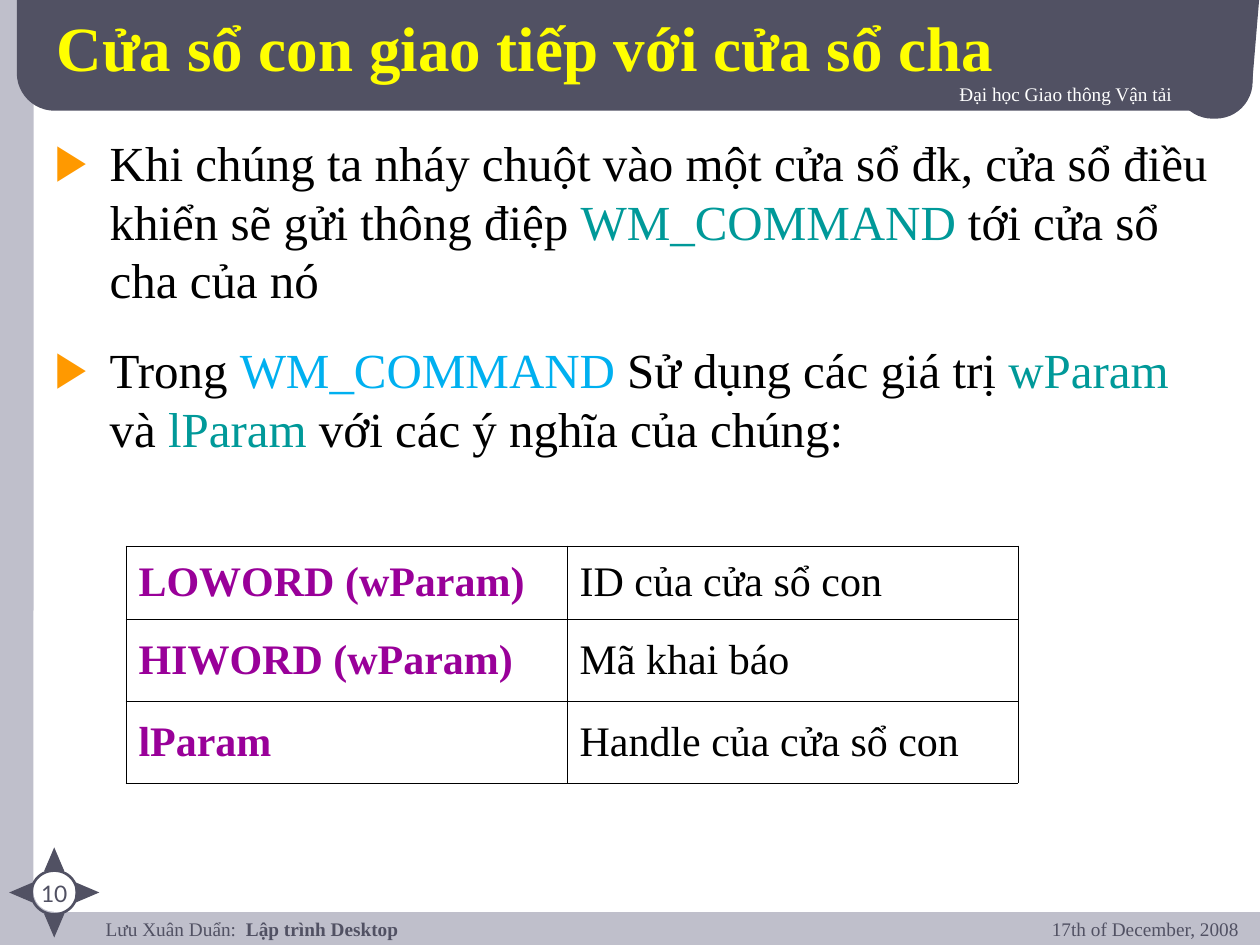
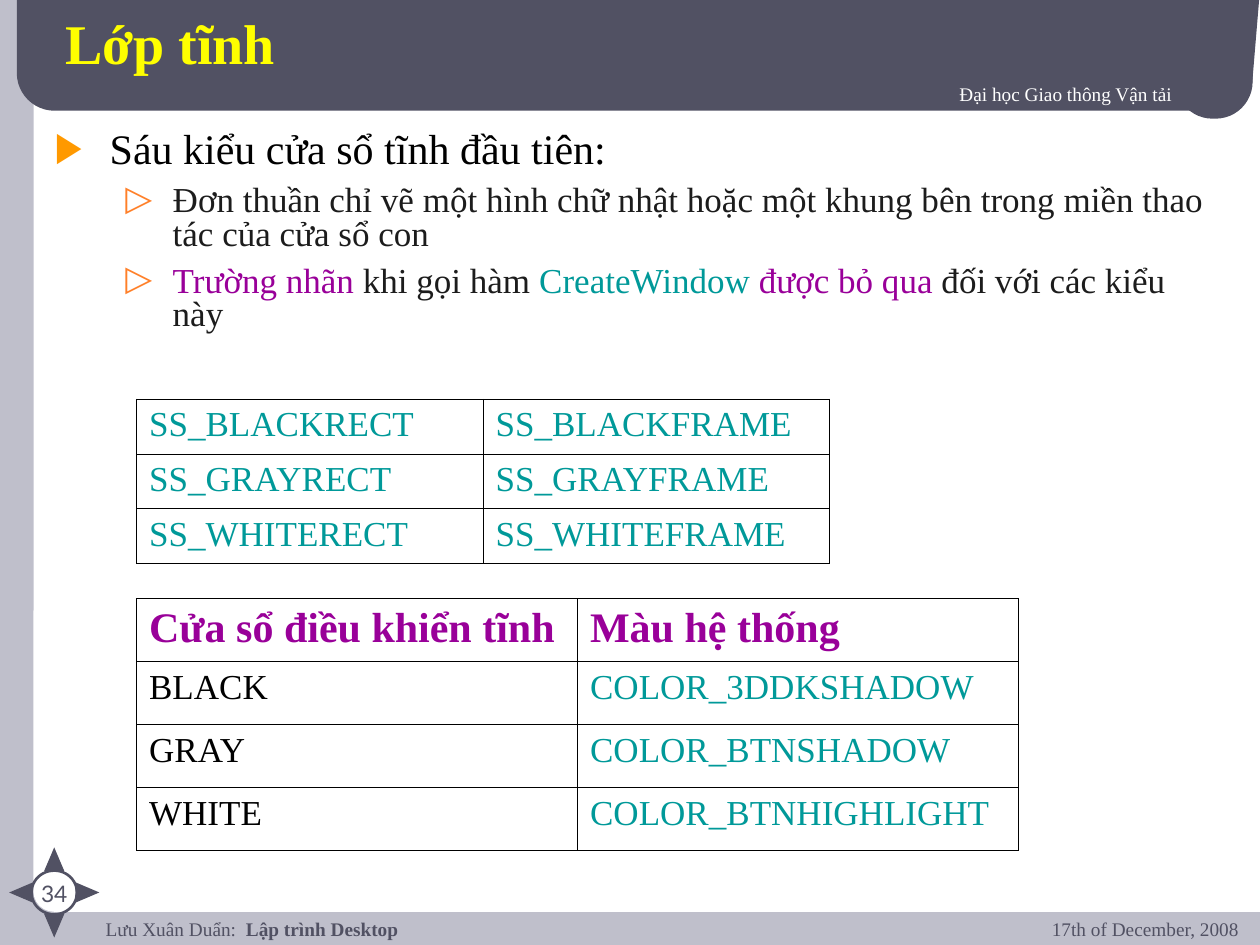
"""Build two lecture slides on child windows and static controls."""
from collections import namedtuple
from math import cos, radians, sin

from lxml.etree import SubElement
from pptx import Presentation
from pptx.dml.color import RGBColor
from pptx.enum.shapes import MSO_SHAPE
from pptx.enum.text import MSO_ANCHOR, MSO_AUTO_SIZE, PP_ALIGN
from pptx.oxml.ns import qn
from pptx.util import Pt

SLATE, LAVENDER, WHITE, BLACK = "515163", "BFBFCB", "FFFFFF", "000000"
YELLOW, TEAL, SKY, PURPLE, CHARCOAL = "FFFF00", "009999", "00B0F0", "990099", "1C1C1C"

Style = namedtuple("Style", "size color bold font shadow",
                   defaults=(False, "Times New Roman", False))
Level = namedtuple("Level", "number margin hanging bullet bullet_color")

TOPIC = Level(0, 31.5, 31.5, "▶", "FF9900")
DETAIL = Level(1, 67.5, 27, "▷", "FF8029")
FOOTER = Style(11, SLATE)
TERM = Style(24, PURPLE, True)
MEANING = Style(24, BLACK)
CODE = Style(20, TEAL)
PLAIN = Style(20, BLACK)


def rgb(color):
    """Turn a hex string into a colour."""
    return RGBColor.from_string(color)


def add_color(parent, color):
    """Append an sRGB colour element."""
    SubElement(parent, qn("a:srgbClr"), val=color)


def add_text_shadow(run):
    """Give the letters of a run a hard drop shadow."""
    effects = SubElement(run.font.fill._xPr, qn("a:effectLst"))
    run.font.fill._xPr.find(qn("a:solidFill")).addnext(effects)
    shadow = SubElement(effects, qn("a:outerShdw"), blurRad="0",
                        dist=str(Pt(2)), dir="2700000")
    add_color(shadow, BLACK)


def write(paragraph, pieces):
    """Fill a paragraph with pairs of text and style."""
    for text, style in pieces:
        run = paragraph.add_run()
        run.text = text
        run.font.size = Pt(style.size)
        run.font.bold = style.bold
        run.font.name = style.font
        run.font.color.rgb = rgb(style.color)
        if style.shadow:
            add_text_shadow(run)


def place(shape, left, top, width, height):
    """Move and size a shape, in points."""
    shape.left, shape.top = Pt(left), Pt(top)
    shape.width, shape.height = Pt(width), Pt(height)


def paint(shape, color):
    """Fill a shape flatly, without line or shadow."""
    shape.shadow.inherit = False
    shape.fill.solid()
    shape.fill.fore_color.rgb = rgb(color)
    shape.line.fill.background()


def add_block(slide, kind, box, color, corner=None):
    """Add a flat preset shape."""
    shape = slide.shapes.add_shape(kind, *map(Pt, box))
    if corner is not None:
        shape.adjustments[0] = corner
    paint(shape, color)
    return shape


def add_label(slide, box, pieces, alignment=PP_ALIGN.LEFT, inset=3.6):
    """Add a one-line text box."""
    frame = slide.shapes.add_textbox(*map(Pt, box)).text_frame
    frame.word_wrap = True
    frame.margin_top = frame.margin_bottom = Pt(inset)
    frame.paragraphs[0].alignment = alignment
    write(frame.paragraphs[0], pieces)


def add_header_band(slide):
    """Draw the white page and the dark band with its curled corner."""
    rounded = MSO_SHAPE.ROUNDED_RECTANGLE
    add_block(slide, rounded, (19.2, -9.5, 720.8, 530.5), WHITE, 0.022)
    add_block(slide, rounded, (9.6, -26, 706, 89.3), SLATE, 0.242)
    add_block(slide, rounded, (671.8, 21, 44, 46.8), SLATE, 0.48)
    builder = slide.shapes.build_freeform(Pt(715.5), Pt(-6))
    builder.add_line_segments([(Pt(720), Pt(-6)), (Pt(715.5), Pt(48))])
    paint(builder.convert_to_shape(), SLATE)


def add_compass(slide):
    """Draw the ring and four points around the page number."""
    center_x, center_y, reach, width, height = 31, 510, 19, 11.5, 13.5
    ring = slide.shapes.add_shape(MSO_SHAPE.OVAL, Pt(18), Pt(497.5), Pt(26), Pt(25))
    ring.shadow.inherit = False
    ring.fill.background()
    ring.line.color.rgb = rgb(SLATE)
    ring.line.width = Pt(1.5)
    for angle in range(0, 360, 90):
        left = center_x + reach * sin(radians(angle)) - width / 2
        top = center_y - reach * cos(radians(angle)) - height / 2
        point = add_block(slide, MSO_SHAPE.ISOSCELES_TRIANGLE,
                          (left, top, width, height), SLATE)
        point.rotation = angle


def decorate_layout(layout, slide):
    """Draw the shared parts on a slide and hand them to its layout."""
    layout.background.fill.solid()
    layout.background.fill.fore_color.rgb = rgb(LAVENDER)
    for placeholder in list(layout.placeholders)[2:]:
        layout.shapes.element.remove(placeholder.element)
    add_header_band(slide)
    add_compass(slide)
    add_label(slide, (53.3, 524.2, 557.3, 23.8),
              [("Lưu Xuân Duẩn:  ", FOOTER),
               ("Lập trình Desktop", FOOTER._replace(bold=True))], inset=0)
    add_label(slide, (218, 43.2, 458.8, 27.4),
              [("Đại học Giao thông Vận tải", Style(11, WHITE, shadow=True))],
              PP_ALIGN.RIGHT)
    add_label(slide, (541.4, 520.6, 173.6, 30.2),
              [("17th of December, 2008", FOOTER)], PP_ALIGN.RIGHT)
    for shape in list(slide.shapes):
        if not shape.is_placeholder:
            layout.shapes.element.append(shape.element)


def add_page_number(slide, number):
    """Write the page number inside the compass."""
    add_label(slide, (10, 499, 42, 15.8),
              [(number, Style(13, SLATE, font="Lato"))], PP_ALIGN.CENTER)


def set_title(slide, text, box, size):
    """Fill and place the title."""
    title = slide.shapes.title
    place(title, *box)
    frame = title.text_frame
    frame.auto_size = MSO_AUTO_SIZE.NONE
    frame.vertical_anchor = MSO_ANCHOR.MIDDLE
    frame.paragraphs[0].alignment = PP_ALIGN.LEFT
    write(frame.paragraphs[0], [(text, Style(size, YELLOW, True, shadow=True))])


def set_bullet(paragraph, level):
    """Set indents and a coloured bullet character."""
    paragraph.level = level.number
    properties = paragraph._p.get_or_add_pPr()
    properties.set("marL", str(Pt(level.margin)))
    properties.set("indent", str(-Pt(level.hanging)))
    add_color(SubElement(properties, qn("a:buClr")), level.bullet_color)
    SubElement(properties, qn("a:buChar"), char=level.bullet)


def set_body(slide, box, items, space_before, line_spacing=1.0):
    """Fill the body with pairs of level and text pieces."""
    body = slide.placeholders[1]
    place(body, *box)
    frame = body.text_frame
    frame.auto_size = MSO_AUTO_SIZE.NONE
    for index, (level, pieces) in enumerate(items):
        paragraph = frame.add_paragraph() if index else frame.paragraphs[0]
        set_bullet(paragraph, level)
        paragraph.space_before = Pt(space_before if index else 0)
        paragraph.line_spacing = line_spacing
        write(paragraph, pieces)


def set_borders(cell):
    """Draw a hairline on every side of a cell."""
    properties = cell._tc.get_or_add_tcPr()
    for side in ("a:lnL", "a:lnR", "a:lnT", "a:lnB"):
        line = SubElement(properties, qn(side), w=str(Pt(0.45)))
        add_color(SubElement(line, qn("a:solidFill")), BLACK)


def add_grid(slide, corner, widths, heights, rows, styles, anchor=MSO_ANCHOR.TOP):
    """Add a plain ruled table with one style for each cell."""
    table = slide.shapes.add_table(len(rows), len(widths), *map(Pt, corner),
                                   Pt(sum(widths)), Pt(sum(heights))).table
    table.first_row = table.horz_banding = False
    for column, width in zip(table.columns, widths):
        column.width = Pt(width)
    for row, height, texts, row_styles in zip(table.rows, heights, rows, styles):
        row.height = Pt(height)
        for cell, text, style in zip(row.cells, texts, row_styles):
            set_borders(cell)
            cell.fill.background()
            cell.vertical_anchor = anchor
            write(cell.text_frame.paragraphs[0], [(text, style)])


def fill_parent_slide(slide):
    """Explain how a child window talks to its parent."""
    text = Style(28, BLACK)
    code = text._replace(color=TEAL)
    set_title(slide, "Cửa sổ con giao tiếp với cửa sổ cha", (25.2, 5.8, 602, 41), 36)
    set_body(slide, (24, 72, 684, 193.7), [
        (TOPIC, [("Khi chúng ta nháy chuột vào một cửa sổ đk, cửa sổ điều "
                  "khiển sẽ gửi thông điệp ", text),
                 ("WM_COMMAND", code), (" tới cửa sổ cha của nó", text)]),
        (TOPIC, [("Trong ", text), ("WM_COMMAND", text._replace(color=SKY)),
                 (" Sử dụng các giá trị ", text), ("wParam", code), (" và ", text),
                 ("lParam ", code), ("với các ý nghĩa của chúng:", text)]),
    ], 17.5)
    add_grid(slide, (72, 312), (252, 257.8), (41.8, 46.8, 46.8), [
        ("LOWORD (wParam)", "ID của cửa sổ con"),
        ("HIWORD (wParam)", "Mã khai báo"),
        ("lParam", "Handle của cửa sổ con"),
    ], [(TERM, MEANING)] * 3, MSO_ANCHOR.MIDDLE)
    add_page_number(slide, "10")


def fill_static_slide(slide):
    """Present the static window class."""
    text = Style(20, CHARCOAL)
    accent = text._replace(color=PURPLE)
    set_title(slide, "Lớp tĩnh", (30, 0, 648, 48), 32)
    set_body(slide, (24, 72, 678, 134.6), [
        (TOPIC, [("Sáu kiểu cửa sổ tĩnh đầu tiên:", MEANING)]),
        (DETAIL, [("Đơn thuần chỉ vẽ một hình chữ nhật hoặc một khung bên "
                   "trong miền thao tác của cửa sổ con", text)]),
        (DETAIL, [("Trường nhãn", accent), (" khi gọi hàm ", text),
                  ("CreateWindow ", CODE), ("được bỏ qua", accent),
                  (" đối với các kiểu này", text)]),
    ], 7.5, 0.8)
    shades = ("BLACK", "GRAY", "WHITE")
    add_grid(slide, (78, 228.2), (198, 198), [31.2] * 3,
             [(f"SS_{shade}RECT", f"SS_{shade}FRAME") for shade in shades],
             [(CODE, CODE)] * 3)
    system_colors = ("COLOR_3DDKSHADOW", "COLOR_BTNSHADOW", "COLOR_BTNHIGHLIGHT")
    add_grid(slide, (78, 342), (252, 252), [36] * 4,
             [("Cửa sổ điều khiển tĩnh", "Màu hệ thống"), *zip(shades, system_colors)],
             [(TERM, TERM)] + [(PLAIN, CODE)] * 3)
    add_page_number(slide, "34")


def main():
    """Create and save the presentation."""
    presentation = Presentation()
    presentation.slide_width, presentation.slide_height = Pt(720), Pt(540)
    layout = presentation.slide_layouts[1]
    parent_slide = presentation.slides.add_slide(layout)
    decorate_layout(layout, parent_slide)
    fill_parent_slide(parent_slide)
    fill_static_slide(presentation.slides.add_slide(layout))
    presentation.save("out.pptx")


if __name__ == "__main__":
    main()
